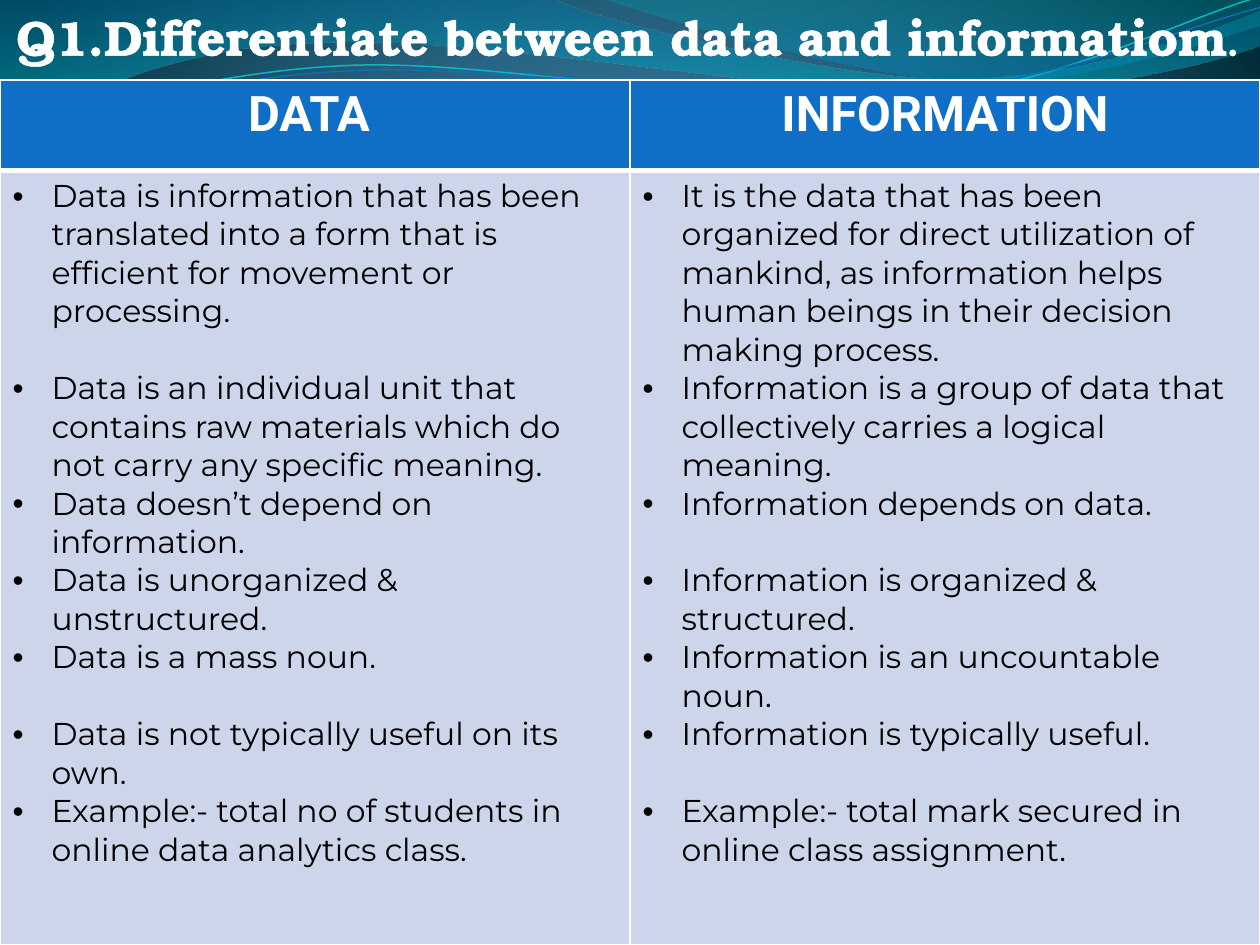
import dataclasses

import lxml.etree
import pptx
import pptx.dml.color
import pptx.enum.text
import pptx.oxml
import pptx.oxml.ns
import pptx.util


@dataclasses.dataclass(frozen=True)
class Theme:
    white: str = "FFFFFF"
    black: str = "000000"
    header: str = "0F6FC6"
    body: str = "CCD5EA"
    thread: str = "0AB8BF"
    backdrop: tuple = ((0, "4AA0D6", 100), (25, "4C98C7", 100), (100, "002C38", 100))
    wide_wave: tuple = ((0, "0074A1", 45), (100, "00C6CF", 55))
    crest_wave: tuple = ((0, "00A1A9", 30), (80, "008BBF", 45))
    title_font: str = "TeX Gyre Bonum"
    header_font: str = "Roboto"
    body_font: str = "Montserrat"
    large: int = 28
    stop: int = 20
    small: int = 18
    line_gap: int = 22


THEME = Theme()
COLUMNS, ROWS = 1000, 750
TABLE_TOP, HEADER_ROWS = 63.5, 72
NS = 'xmlns:a="http://schemas.openxmlformats.org/drawingml/2006/main"'

WIDE_WAVE = [(0, 0), (440, 0), (476, 17, 664, 63, 758, 63), (853, 63, 958, 26, 1000, 9),
             (1000, 36), (983, 44, 870, 76, 746, 75), (622, 75, 382, 28, 257, 34),
             (129, 36, 46, 83, 0, 113)]
CREST_WAVE = [(479, 0), (509, 11, 682, 62, 769, 65), (856, 69, 961, 32, 1000, 21), (1000, 0)]
UPPER_THREAD = [(0, 111), (48, 93, 158, 57, 277, 52), (395, 47, 593, 89, 713, 80),
                (833, 71, 938, 15, 998, -2)]
LOWER_THREAD = [(0, 104), (47, 96, 164, 61, 283, 56), (403, 51, 597, 84, 717, 75),
                (836, 67, 941, 21, 1000, 6)]

DATA_POINTS = [
    ("Data is information that has been translated into a form that is efficient for movement or processing.", 1),
    ("Data is an individual unit that contains raw materials which do not carry any specific meaning.", 0),
    ("Data doesn’t depend on information.", 0),
    ("Data is unorganized & unstructured.", 0),
    ("Data is a mass noun.", 1),
    ("Data is not typically useful on its own.", 0),
    ("Example:- total no of students in online data analytics class.", 0),
]
INFORMATION_POINTS = [
    ("It is the data that has been organized for direct utilization of mankind, as information helps human beings in their decision making process.", 0),
    ("Information is a group of data that collectively carries a logical meaning.", 0),
    ("Information depends on data.", 1),
    ("Information is organized & structured.", 0),
    ("Information is an uncountable noun.", 0),
    ("Information is typically useful.", 1),
    ("Example:- total mark secured in online class assignment.", 0),
]


def rgb(value):
    return pptx.dml.color.RGBColor.from_string(value)


def grid(count):
    return pptx.util.Inches(count / 100)


def set_gradient(fill, parent, stops, direction):
    fill.gradient()
    marks = "".join(
        f'<a:gs pos="{pos * 1000}"><a:srgbClr val="{color}"><a:alpha val="{alpha * 1000}"/>'
        f'</a:srgbClr></a:gs>' for pos, color, alpha in stops)
    new = pptx.oxml.parse_xml(
        f'<a:gradFill {NS} rotWithShape="1"><a:gsLst>{marks}</a:gsLst>{direction}</a:gradFill>')
    old = next(parent.iter(pptx.oxml.ns.qn("a:gradFill")))
    old.getparent().replace(old, new)


def line_xml(tag, color, width):
    return pptx.oxml.parse_xml(
        f'<a:{tag} {NS} w="{int(width * 12700)}"><a:solidFill><a:srgbClr val="{color}"/>'
        f'</a:solidFill></a:{tag}>')


def add_run(p, text, font, size, color, bold=False):
    r = p.add_run()
    r.text = text
    r.font.name, r.font.size, r.font.bold = font, pptx.util.Pt(size), bold
    r.font.color.rgb = rgb(color)
    return r


def add_curve(s, box, steps, closed):
    points = [step[i:i + 2] for step in steps for i in range(0, len(step), 2)]
    builder = s.shapes.build_freeform(*points[0], scale=grid(1))
    builder.add_line_segments(points[1:], close=closed)
    sp = builder.convert_to_shape(grid(box[0]), grid(box[1]))
    sp.shadow.inherit = False
    segments = iter(list(sp.element.iter(pptx.oxml.ns.qn("a:lnTo"))))
    for step in steps[1:]:
        first = next(segments)
        if len(step) == 6:
            bend = lxml.etree.Element(pptx.oxml.ns.qn("a:cubicBezTo"))
            first.addprevious(bend)
            for segment in (first, next(segments), next(segments)):
                bend.append(segment[0])
                segment.getparent().remove(segment)
    return sp


def build_waves(s, box):
    set_gradient(
        s.background.fill, s.element, THEME.backdrop,
        '<a:path path="circle"><a:fillToRect l="10000" t="110000" r="10000" b="100000"/></a:path>')
    for steps, stops in ((WIDE_WAVE, THEME.wide_wave), (CREST_WAVE, THEME.crest_wave)):
        sp = add_curve(s, box, steps, True)
        set_gradient(sp.fill, sp.element.spPr, stops, '<a:lin ang="5400000" scaled="1"/>')
        sp.line.fill.background()
    for steps, color, width in ((UPPER_THREAD, THEME.thread, 0.85), (LOWER_THREAD, THEME.header, 0.75)):
        sp = add_curve(s, box, steps, False)
        sp.fill.background()
        sp.line.color.rgb = rgb(color)
        sp.line.width = pptx.util.Pt(width)


def build_title(s, box):
    tf = s.shapes.add_textbox(*map(grid, box)).text_frame
    tf.word_wrap = True
    tf.vertical_anchor = pptx.enum.text.MSO_ANCHOR.BOTTOM
    tf.margin_left = tf.margin_top = tf.margin_bottom = 0
    tf.margin_right = grid(2)
    p = tf.paragraphs[0]
    p.alignment = pptx.enum.text.PP_ALIGN.CENTER
    for text, size in (("Q1.Differentiate between data and informatiom", THEME.large), (".", THEME.stop)):
        r = add_run(p, text, THEME.title_font, size, THEME.white, True)
        r.font._element.insert(0, line_xml("ln", THEME.white, 1.4))


def style_cell(cell, color, top, bottom):
    cell.fill.solid()
    cell.fill.fore_color.rgb = rgb(color)
    edges = (("lnL", 1), ("lnR", 1), ("lnT", top), ("lnB", bottom))
    for i, (tag, width) in enumerate(edges):
        cell._tc.tcPr.insert(i, line_xml(tag, THEME.white, width))


def fill_points(tf, points):
    for i, (text, gap) in enumerate(points):
        p = tf.paragraphs[0] if i == 0 else tf.add_paragraph()
        add_run(p, text, THEME.body_font, THEME.small, THEME.black)
        if gap:
            p.space_after = pptx.util.Pt(gap * THEME.line_gap)
        ppr = p._p.get_or_add_pPr()
        ppr.set("marL", str(grid(31)))
        ppr.set("indent", str(-grid(31)))
        for tag, name, value in (("buFont", "typeface", "Arial"), ("buChar", "char", "•")):
            lxml.etree.SubElement(ppr, pptx.oxml.ns.qn(f"a:{tag}")).set(name, value)


def build_comparison(s, box):
    columns = (("DATA ", DATA_POINTS), ("INFORMATION", INFORMATION_POINTS))
    table = s.shapes.add_table(2, len(columns), *map(grid, box)).table
    table.horz_banding = False
    table.rows[0].height = grid(HEADER_ROWS)
    table.rows[1].height = grid(box[3] - HEADER_ROWS)
    for i, (heading, points) in enumerate(columns):
        table.columns[i].width = grid(box[2] / len(columns))
        head, body = table.cell(0, i), table.cell(1, i)
        style_cell(head, THEME.header, 1, 3)
        style_cell(body, THEME.body, 3, 1)
        p = head.text_frame.paragraphs[0]
        p.alignment = pptx.enum.text.PP_ALIGN.CENTER
        add_run(p, heading, THEME.header_font, THEME.large, THEME.white, True)
        fill_points(body.text_frame, points)


def main():
    prs = pptx.Presentation()
    prs.slide_width, prs.slide_height = grid(COLUMNS), grid(ROWS)
    s = prs.slides.add_slide(prs.slide_layouts[6])
    build_waves(s, (0, 0))
    build_title(s, (-2, 1, COLUMNS + 2, 51))
    build_comparison(s, (0, TABLE_TOP, COLUMNS, ROWS - TABLE_TOP))
    prs.save("out.pptx")


if __name__ == "__main__":
    main()
